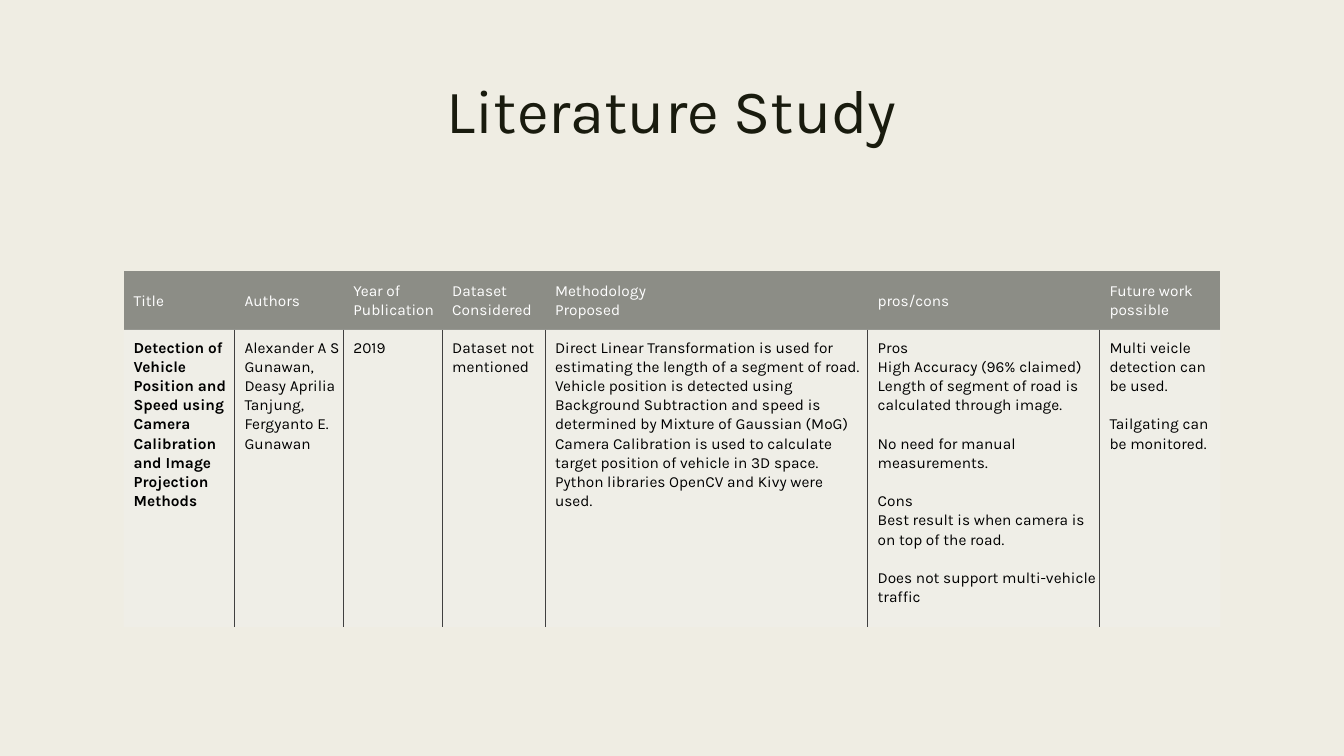
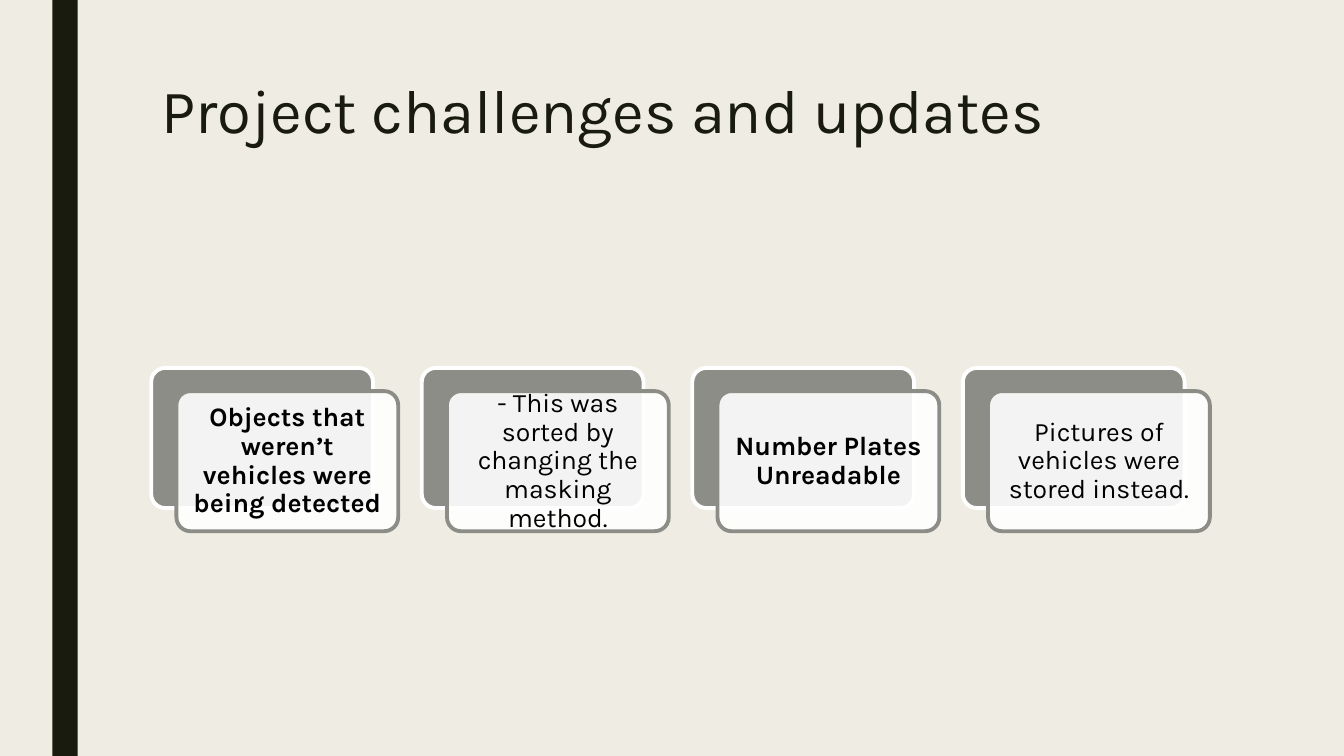
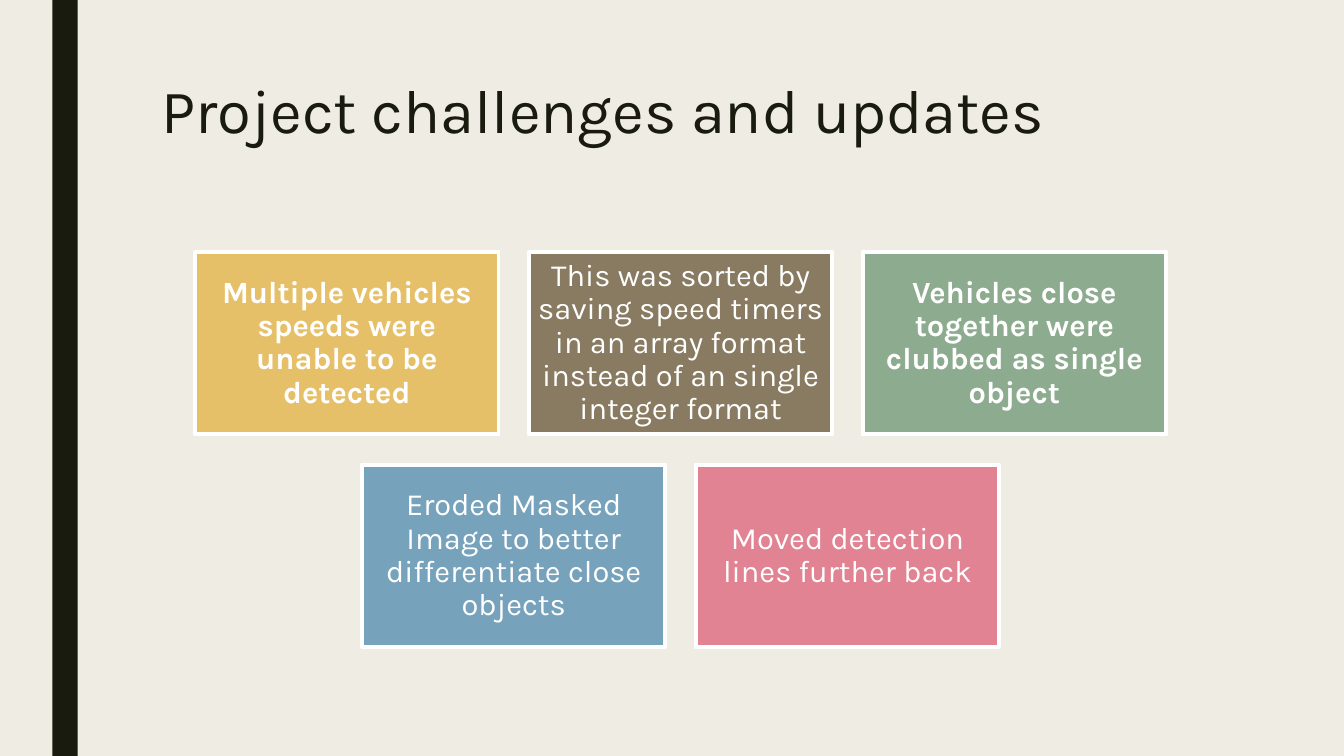
from dataclasses import dataclass

from lxml import etree
from pptx import Presentation
from pptx import util as u
from pptx.dml.color import RGBColor
from pptx.enum import shapes, text
from pptx.oxml import ns


@dataclass(frozen=True)
class Theme:
    font: str = "Karla"
    background: str = "EFEDE3"
    ink: str = "191B0E"
    grey: str = "8C8D86"
    white: str = "FFFFFF"
    black: str = "000000"
    pale: str = "F2F2F2"
    rule: str = "404040"
    tiles: tuple = ("E6C069", "897B61", "8DAB8E", "77A2BB", "E28394")
    title_size: float = 44
    tile_size: float = 22
    card_size: float = 19
    table_size: float = 11
    outline: float = 2.75
    table_rule: float = 0.5
    table_gap: float = 13.75


THEME = Theme()
SLIDE_WIDTH, SLIDE_HEIGHT = 13.33, 7.5
CONTENT_LEFT, CONTENT_WIDTH = 1.5, 10.5
CONTENT_CENTRE = CONTENT_LEFT + CONTENT_WIDTH / 2
TITLE_TOP, TITLE_HEIGHT = 0.75, 1.62
NO_GRID_STYLE = "{2D5ABB26-0587-4C30-8999-92F81FD0307C}"

TABLE_COLUMNS = (1.1, 1.08, 0.98, 1.02, 3.2, 2.3, 1.2)
TABLE_ROWS = (0.58, 2.95)
STUDY = (
    ("Title", "Authors", "Year of Publication", "Dataset Considered",
     "Methodology\nProposed", "pros/cons", "Future work possible"),
    ("Detection of Vehicle Position and Speed using Camera Calibration and Image Projection Methods",
     "Alexander A S Gunawan, Deasy Aprilia Tanjung, Fergyanto E. Gunawan",
     "2019",
     "Dataset not mentioned",
     "Direct Linear Transformation is used for estimating the length of a segment of road.\n"
     "Vehicle position is detected using Background Subtraction and speed is determined by "
     "Mixture of Gaussian (MoG)\n"
     "Camera Calibration is used to calculate target position of vehicle in 3D space.\n"
     "Python libraries OpenCV and Kivy were used.",
     "Pros\nHigh Accuracy (96% claimed)\nLength of segment of road is calculated through image.\n\n"
     "No need for manual measurements.\n\n"
     "Cons\nBest result is when camera is on top of the road.\n\n"
     "Does not support multi-vehicle traffic",
     "Multi veicle detection can be used.\n\nTailgating can be monitored."),
)
CARDS = (
    ("Objects that weren’t vehicles were being detected", True),
    ("- This was sorted by changing the masking method.", False),
    ("Number Plates Unreadable", True),
    ("Pictures of vehicles were stored instead.", False),
)
TILE_ROWS = (
    (("Multiple vehicles speeds were unable to be detected", True),
     ("This was sorted by saving speed timers in an array format instead of an single integer format", False),
     ("Vehicles close together were clubbed as single object", True)),
    (("Eroded Masked Image to better differentiate close objects", False),
     ("Moved detection lines further back", False)),
)


def set_fill(fill, color, opacity=100):
    fill.solid()
    fill.fore_color.rgb = RGBColor.from_string(color)
    if opacity < 100:
        node = fill._xPr.find(ns.qn("a:solidFill")).find(ns.qn("a:srgbClr"))
        etree.SubElement(node, ns.qn("a:alpha")).set("val", str(opacity * 1000))


def format_paragraph(paragraph, size, color, bold=False, align=text.PP_ALIGN.LEFT, spacing=0.9):
    paragraph.alignment = align
    paragraph.line_spacing = spacing
    for run in paragraph.runs:
        run.font.name = THEME.font
        run.font.size = u.Pt(size)
        run.font.bold = bold
        run.font.color.rgb = RGBColor.from_string(color)


def set_insets(target, left, top, right, bottom):
    target.margin_left, target.margin_top = u.Inches(left), u.Inches(top)
    target.margin_right, target.margin_bottom = u.Inches(right), u.Inches(bottom)


def add_box(slide, kind, left, top, width, height, fill, line=None, opacity=100):
    shape = slide.shapes.add_shape(kind, *map(u.Inches, (left, top, width, height)))
    shape.shadow.inherit = False
    set_fill(shape.fill, fill, opacity)
    if line:
        shape.line.color.rgb = RGBColor.from_string(line)
        shape.line.width = u.Pt(THEME.outline)
    else:
        shape.line.fill.background()
    return shape


def send_to_back(shape, owner):
    owner.shapes._spTree.insert(2, shape._element)


def add_master_band(slide, master):
    band = add_box(slide, shapes.MSO_SHAPE.RECTANGLE, 0.52, 0, 0.25, SLIDE_HEIGHT, THEME.ink)
    send_to_back(band, master)


def cover_band(slide):
    cover = add_box(slide, shapes.MSO_SHAPE.RECTANGLE, 0, 0, SLIDE_WIDTH, SLIDE_HEIGHT,
                    THEME.background)
    send_to_back(cover, slide)


def write_centred(shape, words, size, color, bold, inset):
    frame = shape.text_frame
    frame.word_wrap = True
    frame.vertical_anchor = text.MSO_ANCHOR.MIDDLE
    set_insets(frame, inset, inset, inset, inset)
    frame.text = words
    format_paragraph(frame.paragraphs[0], size, color, bold, text.PP_ALIGN.CENTER)


def add_titled_slide(presentation, words, left=CONTENT_LEFT, width=CONTENT_WIDTH,
                     align=text.PP_ALIGN.LEFT):
    slide = presentation.slides.add_slide(presentation.slide_layouts.get_by_name("Title Only"))
    title = slide.shapes.title
    title.left, title.top = u.Inches(left), u.Inches(TITLE_TOP)
    title.width, title.height = u.Inches(width), u.Inches(TITLE_HEIGHT)
    title.text_frame.text = words
    title.text_frame.vertical_anchor = text.MSO_ANCHOR.TOP
    title.text_frame.auto_size = text.MSO_AUTO_SIZE.NONE
    format_paragraph(title.text_frame.paragraphs[0], THEME.title_size, THEME.ink,
                     align=align, spacing=0.89)
    return slide


def add_cell_border(cell, side):
    line = etree.SubElement(cell._tc.get_or_add_tcPr(), ns.qn(f"a:ln{side}"))
    line.set("w", str(u.Pt(THEME.table_rule)))
    solid = etree.SubElement(line, ns.qn("a:solidFill"))
    etree.SubElement(solid, ns.qn("a:srgbClr")).set("val", THEME.rule)


def write_cell(cell, words, color, bold):
    set_insets(cell, 0.1, 0.08, 0.03, 0.08)
    groups = [group.split("\n") for group in words.split("\n\n")]
    cell.text_frame.text = "\n".join("\n".join(group) for group in groups)
    paragraphs = iter(cell.text_frame.paragraphs)
    for group_number, group in enumerate(groups):
        for line_number in range(len(group)):
            paragraph = next(paragraphs)
            format_paragraph(paragraph, THEME.table_size, color, bold, spacing=1.07)
            if group_number and not line_number:
                paragraph.space_before = u.Pt(THEME.table_gap)


def add_study_table(slide):
    width = sum(TABLE_COLUMNS)
    frame = slide.shapes.add_table(
        len(STUDY), len(TABLE_COLUMNS),
        *map(u.Inches, ((SLIDE_WIDTH - width) / 2, 2.69, width, sum(TABLE_ROWS))))
    table = frame.table
    table.first_row = table.horz_banding = False
    table._tbl.tblPr.find(ns.qn("a:tableStyleId")).text = NO_GRID_STYLE
    for column, column_width in zip(table.columns, TABLE_COLUMNS):
        column.width = u.Inches(column_width)
    for row, row_height in zip(table.rows, TABLE_ROWS):
        row.height = u.Inches(row_height)
    last = len(TABLE_COLUMNS) - 1
    for row_number, row in enumerate(STUDY):
        for column_number, words in enumerate(row):
            cell = table.cell(row_number, column_number)
            if row_number == 0:
                cell.vertical_anchor = text.MSO_ANCHOR.MIDDLE
                set_fill(cell.fill, THEME.grey)
                write_cell(cell, words, THEME.white, False)
                continue
            if column_number > 0:
                add_cell_border(cell, "L")
            if column_number < last:
                add_cell_border(cell, "R")
            set_fill(cell.fill, THEME.pale, 30)
            write_cell(cell, words, THEME.black, column_number == 0)


def add_cards(slide):
    width, height, top = 2.2, 1.39, 3.65
    shift_right, shift_down = 0.25, 0.23
    step = (CONTENT_WIDTH - width - shift_right) / (len(CARDS) - 1)
    for number, (words, bold) in enumerate(CARDS):
        left = CONTENT_LEFT + number * step
        back = add_box(slide, shapes.MSO_SHAPE.ROUNDED_RECTANGLE, left, top, width, height,
                       THEME.grey, THEME.white)
        front = add_box(slide, shapes.MSO_SHAPE.ROUNDED_RECTANGLE, left + shift_right,
                        top + shift_down, width, height, THEME.white, THEME.grey, 90)
        for card in (back, front):
            card.adjustments[0] = 0.1
        write_centred(front, words, THEME.card_size, THEME.black, bold, 0.08)


def add_tiles(slide):
    width, height, gap, top = 3.01, 1.81, 0.3, 2.5
    colors = iter(THEME.tiles)
    for row_number, row in enumerate(TILE_ROWS):
        row_width = len(row) * (width + gap) - gap
        for column_number, (words, bold) in enumerate(row):
            tile = add_box(slide, shapes.MSO_SHAPE.RECTANGLE,
                           CONTENT_CENTRE - row_width / 2 + column_number * (width + gap),
                           top + row_number * (height + gap),
                           width, height, next(colors), THEME.white)
            write_centred(tile, words, THEME.tile_size, THEME.white, bold, 0.09)


def main():
    presentation = Presentation()
    presentation.slide_width = u.Inches(SLIDE_WIDTH)
    presentation.slide_height = u.Inches(SLIDE_HEIGHT)
    master = presentation.slide_master
    set_fill(master.background.fill, THEME.background)

    study = add_titled_slide(presentation, "Literature Study", left=0.7, width=11.93,
                             align=text.PP_ALIGN.CENTER)
    add_master_band(study, master)
    cover_band(study)
    add_study_table(study)
    add_cards(add_titled_slide(presentation, "Project challenges and updates"))
    add_tiles(add_titled_slide(presentation, "Project challenges and updates"))
    presentation.save("out.pptx")


if __name__ == "__main__":
    main()
